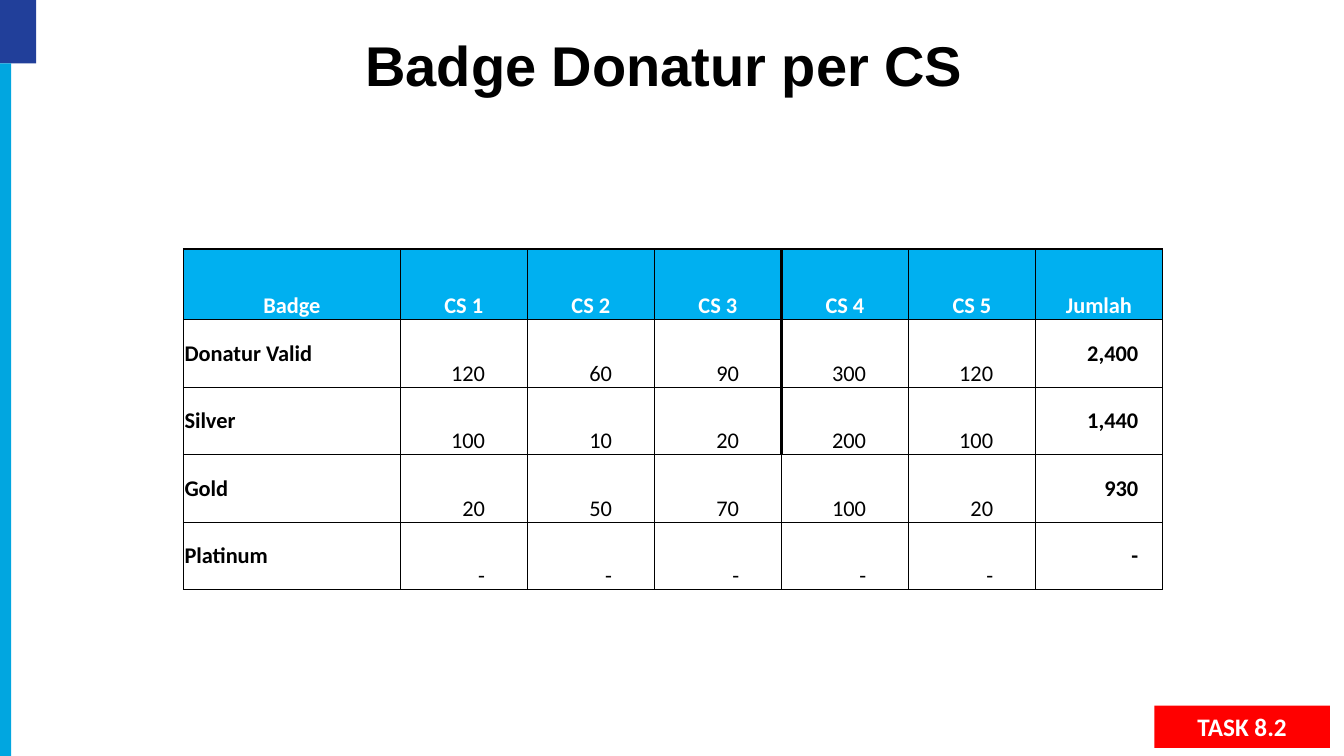
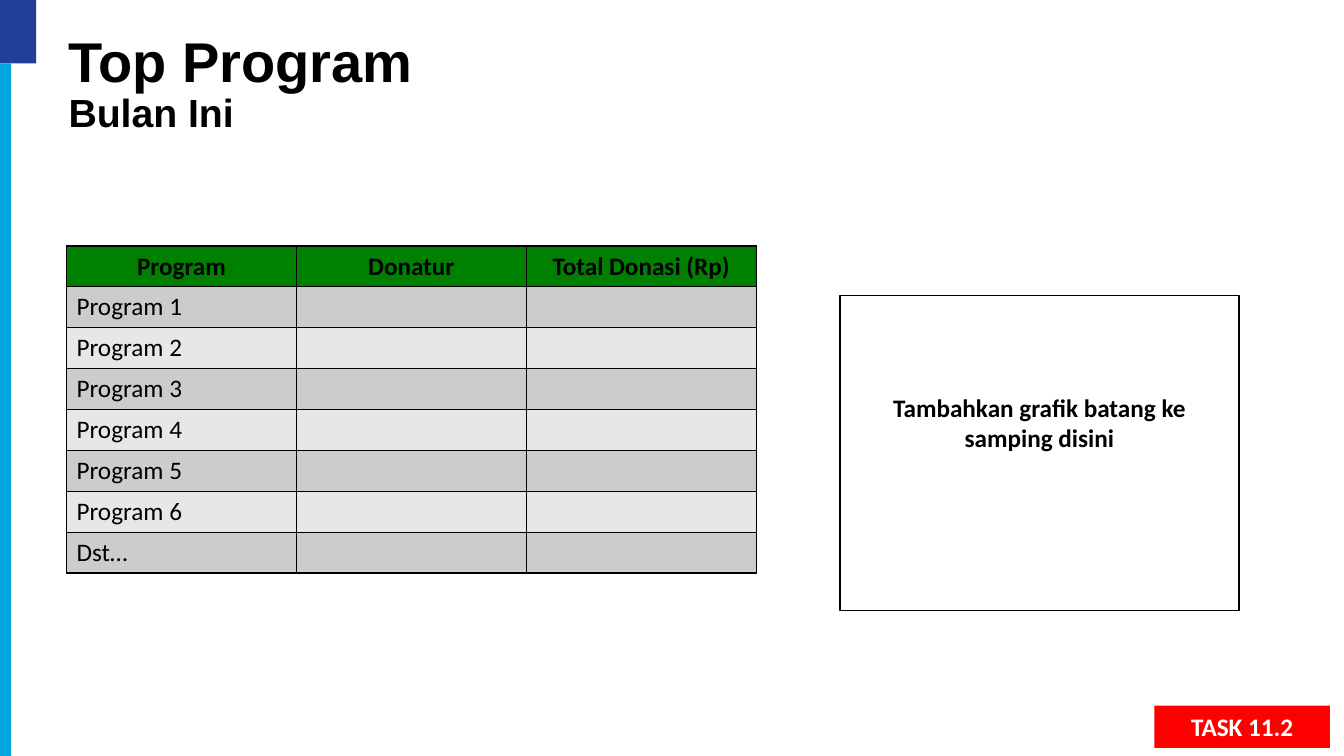
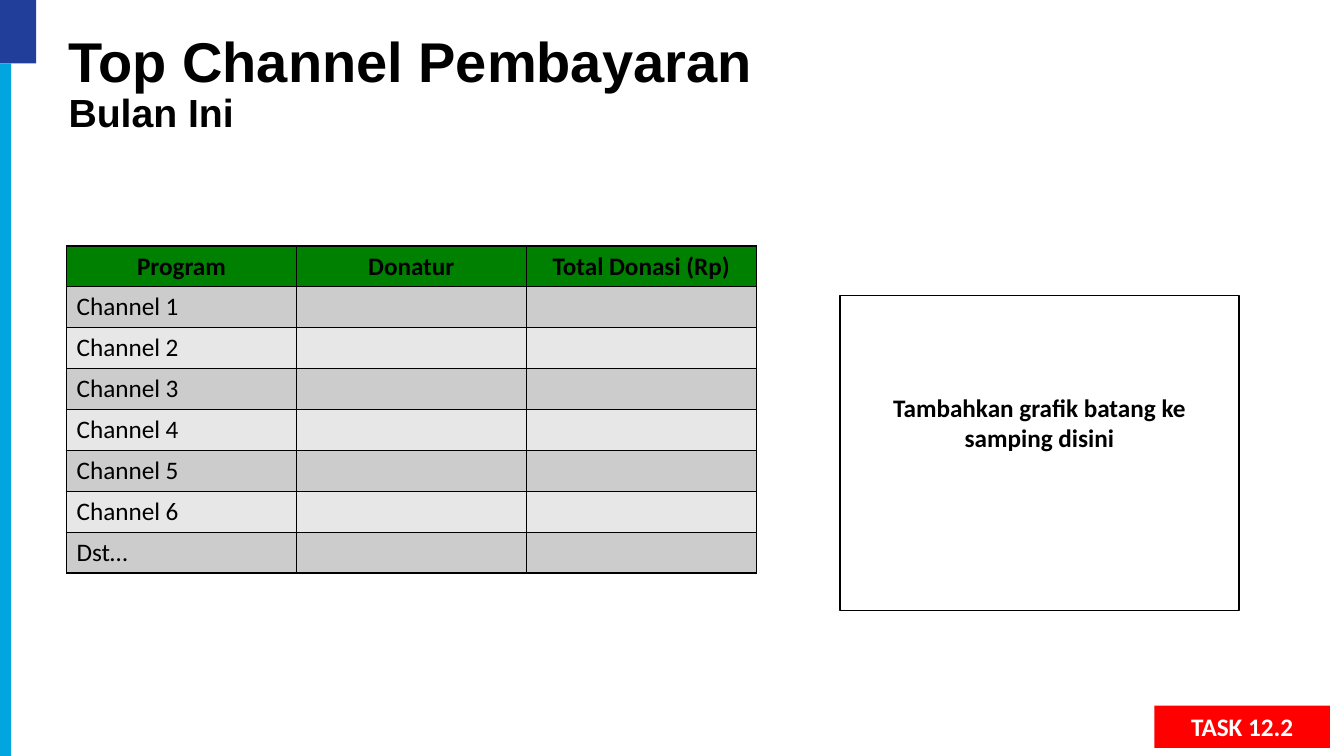
from collections.abc import Callable
from dataclasses import dataclass

from lxml.etree import SubElement
from pptx import Presentation
from pptx.dml.color import RGBColor
from pptx.enum.shapes import MSO_SHAPE
from pptx.enum.text import MSO_ANCHOR, MSO_AUTO_SIZE, PP_ALIGN
from pptx.oxml import parse_xml
from pptx.oxml.ns import nsdecls, qn
from pptx.util import Inches, Pt

BLACK, WHITE, RED = "000000", "FFFFFF", "FF0000"
NAVY, CYAN = "213F9A", "01A6E0"
SKY, GREEN = "00B0F0", "008000"
BANDS = ("CCCCCC", "E7E7E7")
HEADING_FONT, BODY_FONT = "Arial", "Calibri"
TITLE_ONLY = 5


@dataclass(frozen=True)
class Box:
    left: float
    top: float
    width: float
    height: float

    def emu(self) -> tuple:
        return tuple(Inches(v) for v in (self.left, self.top, self.width, self.height))


@dataclass(frozen=True)
class CellStyle:
    fill: str | None = None
    color: str = BLACK
    bold: bool = False
    size: float = 18
    align: PP_ALIGN = PP_ALIGN.LEFT
    anchor: MSO_ANCHOR = MSO_ANCHOR.TOP
    margins: tuple = (0.1, 0.05, 0.1, 0.05)


@dataclass(frozen=True)
class Ranking:
    title: str
    item: str
    task: str


@dataclass(frozen=True)
class Borders:
    """Line widths in points, by grid edge and the row or column it crosses."""
    vertical: Callable[[int, int], float]
    horizontal: Callable[[int, int], float]


RANKINGS = (
    Ranking("Top Program", "Program", "TASK 11.2"),
    Ranking("Top Channel Pembayaran", "Channel", "TASK 12.2"),
)
BADGE_ROWS = (
    ("Badge", "CS 1", "CS 2", "CS 3", "CS 4", "CS 5", "Jumlah"),
    ("Donatur Valid", "120", "60", "90", "300", "120", "2,400"),
    ("Silver", "100", "10", "20", "200", "100", "1,440"),
    ("Gold", "20", "50", "70", "100", "20", "930"),
    ("Platinum", "-", "-", "-", "-", "-", "-"),
)


def rgb(color: str) -> RGBColor:
    return RGBColor.from_string(color)


def write(tf, text: str, *, size: float, color: str = BLACK, bold: bool = True,
          font: str = BODY_FONT, align: PP_ALIGN = PP_ALIGN.LEFT) -> None:
    p = tf.paragraphs[0]
    p.alignment = align
    r = p.add_run()
    r.text = text
    r.font.size, r.font.bold, r.font.name = Pt(size), bold, font
    r.font.color.rgb = rgb(color)


def set_frame(tf, anchor: MSO_ANCHOR, margins: tuple = (0.1, 0.05, 0.1, 0.05)) -> None:
    tf.word_wrap = True
    tf.auto_size = MSO_AUTO_SIZE.NONE
    tf.vertical_anchor = anchor
    tf.margin_left, tf.margin_top, tf.margin_right, tf.margin_bottom = map(Inches, margins)


def add_rect(shapes, box: Box, fill: str, line: str | None = None):
    sp = shapes.add_shape(MSO_SHAPE.RECTANGLE, *box.emu())
    sp.shadow.inherit = False
    sp.fill.solid()
    sp.fill.fore_color.rgb = rgb(fill)
    if line:
        sp.line.color.rgb = rgb(line)
        sp.line.width = Pt(1)
    else:
        sp.line.fill.background()
    return sp


def set_borders(cell, widths: tuple) -> None:
    """Draw the left, right, top and bottom lines, widths in points."""
    tcPr = cell._tc.get_or_add_tcPr()
    for i, (side, width) in enumerate(zip("LRTB", widths)):
        ln = parse_xml(f'<a:ln{side} {nsdecls("a")} w="{Pt(width)}"/>')
        fill = SubElement(ln, qn("a:solidFill"))
        SubElement(fill, qn("a:srgbClr"), val=BLACK)
        tcPr.insert(i, ln)


def fill_cell(cell, text: str, style: CellStyle) -> None:
    cell.vertical_anchor = style.anchor
    (cell.margin_left, cell.margin_top,
     cell.margin_right, cell.margin_bottom) = map(Inches, style.margins)
    if style.fill:
        cell.fill.solid()
        cell.fill.fore_color.rgb = rgb(style.fill)
    else:
        cell.fill.background()
    if text:
        write(cell.text_frame, text, size=style.size, color=style.color,
              bold=style.bold, align=style.align)


def add_grid(slide, left: float, top: float, widths: list, heights: list, rows: tuple,
             style_at: Callable[[int, int], CellStyle], borders: Borders) -> None:
    box = Box(left, top, sum(widths), sum(heights))
    table = slide.shapes.add_table(len(heights), len(widths), *box.emu()).table
    table.first_row = table.horz_banding = False
    for col, width in zip(table.columns, widths):
        col.width = Inches(width)
    for row, height in zip(table.rows, heights):
        row.height = Inches(height)
    for r, texts in enumerate(rows):
        for c, text in enumerate(texts):
            cell = table.cell(r, c)
            fill_cell(cell, text, style_at(r, c))
            set_borders(cell, (borders.vertical(c, r), borders.vertical(c + 1, r),
                               borders.horizontal(r, c), borders.horizontal(r + 1, c)))


def place_title(slide, text: str, box: Box, align: PP_ALIGN, margins: tuple) -> None:
    sp = slide.shapes.title
    sp.left, sp.top, sp.width, sp.height = box.emu()
    set_frame(sp.text_frame, MSO_ANCHOR.MIDDLE, margins)
    write(sp.text_frame, text, size=40, font=HEADING_FONT, align=align)


def add_task_and_bars(slide, task: str) -> None:
    tag = add_rect(slide.shapes, Box(11.45, 7, 1.74, 0.42), RED)
    set_frame(tag.text_frame, MSO_ANCHOR.MIDDLE)
    write(tag.text_frame, task, size=18, color=WHITE, align=PP_ALIGN.CENTER)
    bars = slide.shapes.add_group_shape().shapes
    add_rect(bars, Box(-0.01, 0, 0.37, 0.63), NAVY)
    add_rect(bars, Box(0, 0.63, 0.11, 6.87), CYAN)


def badge_style(row: int, col: int) -> CellStyle:
    tight = (0.01, 0.01, 0.01, 0)
    if row == 0:
        return CellStyle(SKY, WHITE, True, 16, PP_ALIGN.CENTER, MSO_ANCHOR.BOTTOM, tight)
    if col == 0:
        return CellStyle(bold=True, size=16, anchor=MSO_ANCHOR.MIDDLE, margins=tight)
    if col == len(BADGE_ROWS[0]) - 1:
        return CellStyle(None, BLACK, True, 16, PP_ALIGN.RIGHT, MSO_ANCHOR.MIDDLE,
                         (0.01, 0.01, 0.24, 0))
    return CellStyle(None, BLACK, False, 16, PP_ALIGN.RIGHT, MSO_ANCHOR.BOTTOM,
                     (0.01, 0.01, 0.42, 0))


def badge_vertical(edge: int, row: int) -> float:
    if row >= 3 or edge in (0, 1, 7):
        return 1
    return 2 if edge == 4 else 0.5


def badge_horizontal(edge: int, col: int) -> float:
    return 1 if edge == 0 or (edge == 1 and 0 < col < 6) else 0.5


def ranking_style(row: int, col: int) -> CellStyle:
    if row == 0:
        return CellStyle(GREEN, bold=True, align=PP_ALIGN.CENTER)
    return CellStyle(BANDS[(row - 1) % 2])


def build_badges(prs) -> None:
    slide = prs.slides.add_slide(prs.slide_layouts[TITLE_ONLY])
    place_title(slide, "Badge Donatur per CS", Box(1.67, 0.25, 9.83, 0.77),
                PP_ALIGN.CENTER, (0.1, 0.05, 0.1, 0.05))
    add_grid(slide, 1.82, 2.47, [2.15] + [1.26] * 6, [0.7] + [0.67] * 4, BADGE_ROWS,
             badge_style, Borders(badge_vertical, badge_horizontal))
    add_task_and_bars(slide, "TASK 8.2")


def build_ranking(prs, ranking: Ranking) -> None:
    slide = prs.slides.add_slide(prs.slide_layouts[TITLE_ONLY])
    margins = (0.02, 0.02, 0, 0)
    place_title(slide, ranking.title, Box(0.66, 0.24, 7.89, 0.69), PP_ALIGN.LEFT, margins)
    subtitle = slide.shapes.add_textbox(*Box(0.66, 0.85, 7.89, 0.49).emu())
    set_frame(subtitle.text_frame, MSO_ANCHOR.MIDDLE, margins)
    write(subtitle.text_frame, "Bulan Ini", size=28, font=HEADING_FONT)

    names = [f"{ranking.item} {n}" for n in range(1, 7)] + ["Dst…"]
    rows = (("Program", "Donatur", "Total Donasi (Rp)"), *((name, "", "") for name in names))
    add_grid(slide, 0.66, 2.44, [2.28] * 3, [0.4] * len(rows), rows, ranking_style,
             Borders(lambda edge, row: 1, lambda edge, col: 1))

    chart_area = add_rect(slide.shapes, Box(8.33, 2.93, 3.96, 3.13), WHITE, BLACK)
    set_frame(chart_area.text_frame, MSO_ANCHOR.TOP, (0.1, 0.96, 0.1, 0.05))
    write(chart_area.text_frame, "Tambahkan grafik batang ke samping disini",
          size=18, align=PP_ALIGN.CENTER)
    add_task_and_bars(slide, ranking.task)


def main() -> None:
    prs = Presentation()
    prs.slide_width, prs.slide_height = Inches(13.33), Inches(7.5)
    build_badges(prs)
    for ranking in RANKINGS:
        build_ranking(prs, ranking)
    prs.save("out.pptx")


if __name__ == "__main__":
    main()
